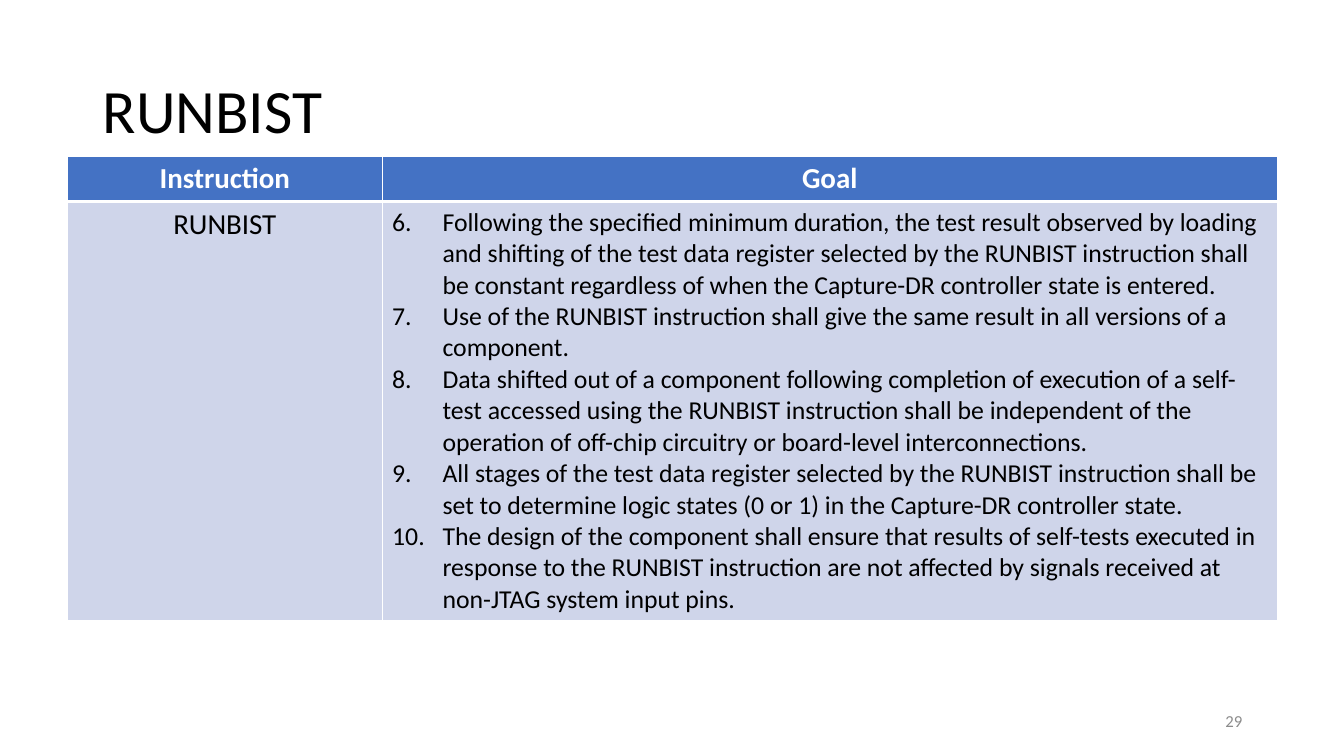
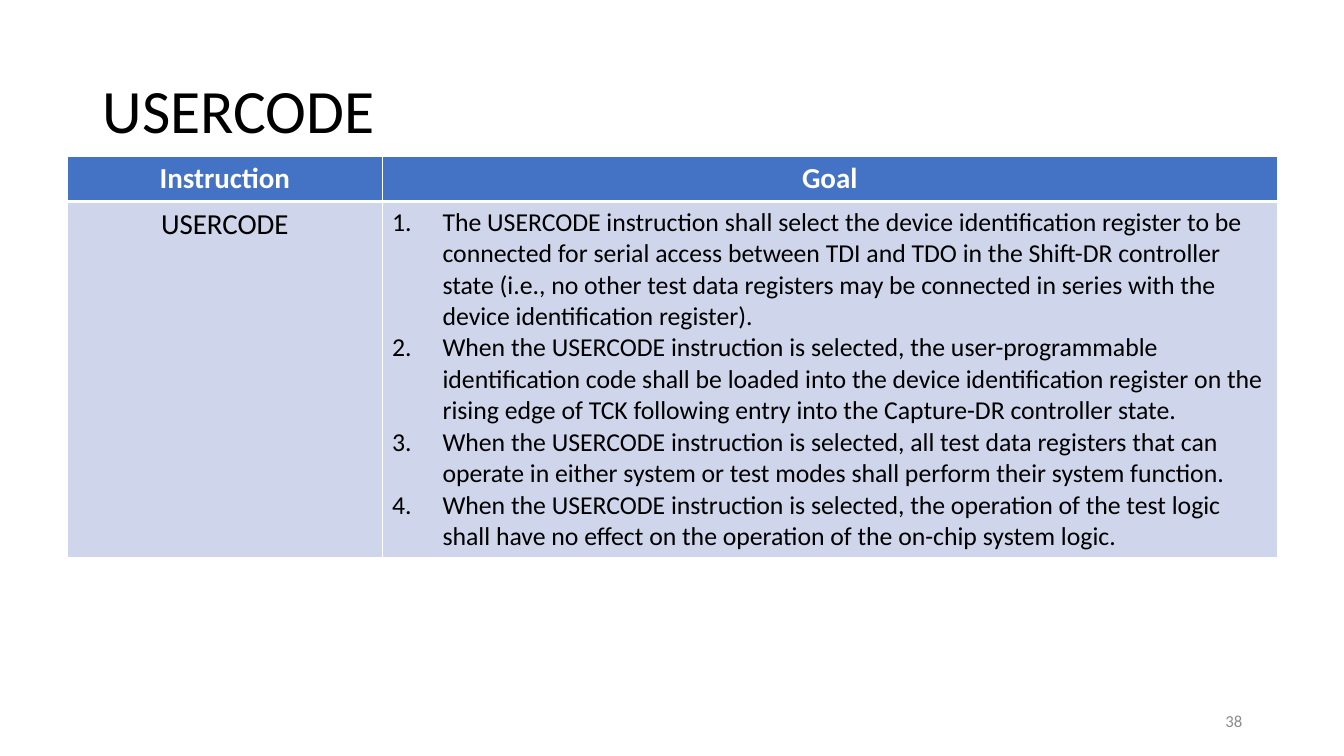
from lxml.etree import SubElement
from pptx import Presentation
from pptx.dml.color import RGBColor
from pptx.enum.text import MSO_ANCHOR as Anchor, MSO_AUTO_SIZE as AutoSize, PP_ALIGN as Align
from pptx.oxml import parse_xml
from pptx.oxml.ns import nsdecls, qn
from pptx.util import Inches, Pt

FONT = "Calibri"
BLACK, WHITE, GREY = "000000", "FFFFFF", "8C8C8C"
HEADER_FILL, BODY_FILL = "4472C4", "CFD5EA"
WIDTH, HEIGHT = Inches(13.33), Inches(7.5)
TITLE_BOX = Inches(0.92), Inches(0.4), Inches(11.5), Inches(1.45)
TABLE_LEFT, TABLE_TOP, TABLE_WIDTH = Inches(0.67), Inches(1.55), Inches(12)
NUMBER_BOX = Inches(9.42), Inches(6.95), Inches(3), Inches(0.4)
INSTRUCTION_SHARE = 0.26
HEADER_HEIGHT = Inches(0.45)
LINE_HEIGHT, CELL_PADDING = Inches(0.31), Inches(0.1)
HEADERS = "Instruction", "Goal"

INSTRUCTIONS = [
    {
        "name": "RUNBIST", "page": 29, "first": 6, "lines": 13,
        "goals": [
            "Following the specified minimum duration, the test result observed by loading and shifting "
            "of the test data register selected by the RUNBIST instruction shall be constant regardless "
            "of when the Capture-DR controller state is entered.",
            "Use of the RUNBIST instruction shall give the same result in all versions of a component.",
            "Data shifted out of a component following completion of execution of a self-test accessed "
            "using the RUNBIST instruction shall be independent of the operation of off-chip circuitry "
            "or board-level interconnections.",
            "All stages of the test data register selected by the RUNBIST instruction shall be set to "
            "determine logic states (0 or 1) in the Capture-DR controller state.",
            "The design of the component shall ensure that results of self-tests executed in response to "
            "the RUNBIST instruction are not affected by signals received at non-JTAG system input pins.",
        ],
    },
    {
        "name": "USERCODE", "page": 38, "first": 1, "lines": 11,
        "goals": [
            "The USERCODE instruction shall select the device identification register to be connected for "
            "serial access between TDI and TDO in the Shift-DR controller state (i.e., no other test data "
            "registers may be connected in series with the device identification register).",
            "When the USERCODE instruction is selected, the user-programmable identification code shall be "
            "loaded into the device identification register on the rising edge of TCK following entry "
            "into the Capture-DR controller state.",
            "When the USERCODE instruction is selected, all test data registers that can operate in either "
            "system or test modes shall perform their system function.",
            "When the USERCODE instruction is selected, the operation of the test logic shall have no "
            "effect on the operation of the on-chip system logic.",
        ],
    },
]


def color(value):
    """Turn a hex string into a colour."""
    return RGBColor.from_string(value)


def style(paragraph, size, hue, align=Align.LEFT, bold=False):
    """Format a whole paragraph."""
    paragraph.alignment = align
    font = paragraph.font
    font.name, font.size, font.bold = FONT, Pt(size), bold
    font.color.rgb = color(hue)


def number(paragraph, first):
    """Make a paragraph part of a numbered list."""
    properties = paragraph._p.get_or_add_pPr()
    properties.set("marL", str(Inches(0.5)))
    properties.set("indent", str(-Inches(0.5)))
    SubElement(properties, qn("a:buFont"), typeface="+mj-lt")
    SubElement(properties, qn("a:buAutoNum"), type="arabicPeriod", startAt=str(first))


def paint(cell, fill, top, bottom):
    """Fill a cell and draw its white borders."""
    cell.fill.solid()
    cell.fill.fore_color.rgb = color(fill)
    properties = cell._tc.get_or_add_tcPr()
    for index, (side, width) in enumerate((("L", 1), ("R", 1), ("T", top), ("B", bottom))):
        border = parse_xml(
            f'<a:ln{side} {nsdecls("a")} w="{Pt(width)}"><a:solidFill>'
            f'<a:srgbClr val="{WHITE}"/></a:solidFill></a:ln{side}>')
        properties.insert(index, border)


def place_title(slide, box, text):
    """Place and format the title placeholder."""
    title = slide.shapes.title
    title.left, title.top, title.width, title.height = box
    frame = title.text_frame
    frame.text = text
    frame.auto_size, frame.vertical_anchor = AutoSize.NONE, Anchor.MIDDLE
    paragraph = frame.paragraphs[0]
    paragraph.line_spacing = 0.9
    style(paragraph, 44, BLACK)


def place_table(slide, left, top, width, instruction):
    """Place the table of an instruction and its numbered goals."""
    body_height = instruction["lines"] * LINE_HEIGHT + CELL_PADDING
    table = slide.shapes.add_table(2, 2, left, top, width, HEADER_HEIGHT + body_height).table
    table.columns[0].width = int(width * INSTRUCTION_SHARE)
    table.columns[1].width = width - table.columns[0].width
    table.rows[0].height, table.rows[1].height = HEADER_HEIGHT, body_height
    for column, header in enumerate(HEADERS):
        cell = table.cell(0, column)
        cell.text = header
        style(cell.text_frame.paragraphs[0], 20.7, WHITE, Align.CENTER, True)
        paint(cell, HEADER_FILL, 1, 3)
        paint(table.cell(1, column), BODY_FILL, 3, 1)
    name_cell, goal_cell = table.cell(1, 0), table.cell(1, 1)
    name_cell.text = instruction["name"]
    style(name_cell.text_frame.paragraphs[0], 20.7, BLACK, Align.CENTER)
    goal_cell.text = "\n".join(instruction["goals"])
    for paragraph in goal_cell.text_frame.paragraphs:
        number(paragraph, instruction["first"])
        style(paragraph, 18.4, BLACK)


def place_page_number(slide, box, page):
    """Place the page number in the footer."""
    frame = slide.shapes.add_textbox(*box).text_frame
    frame.word_wrap, frame.vertical_anchor = True, Anchor.MIDDLE
    frame.text = str(page)
    style(frame.paragraphs[0], 12, GREY, Align.RIGHT)


def add_instruction_slide(presentation, instruction):
    """Add one slide that describes an instruction."""
    slide = presentation.slides.add_slide(presentation.slide_layouts.get_by_name("Title Only"))
    place_title(slide, TITLE_BOX, instruction["name"])
    place_table(slide, TABLE_LEFT, TABLE_TOP, TABLE_WIDTH, instruction)
    place_page_number(slide, NUMBER_BOX, instruction["page"])


def main():
    """Build and save the presentation."""
    presentation = Presentation()
    presentation.slide_width, presentation.slide_height = WIDTH, HEIGHT
    for instruction in INSTRUCTIONS:
        add_instruction_slide(presentation, instruction)
    presentation.save("out.pptx")


if __name__ == "__main__":
    main()
